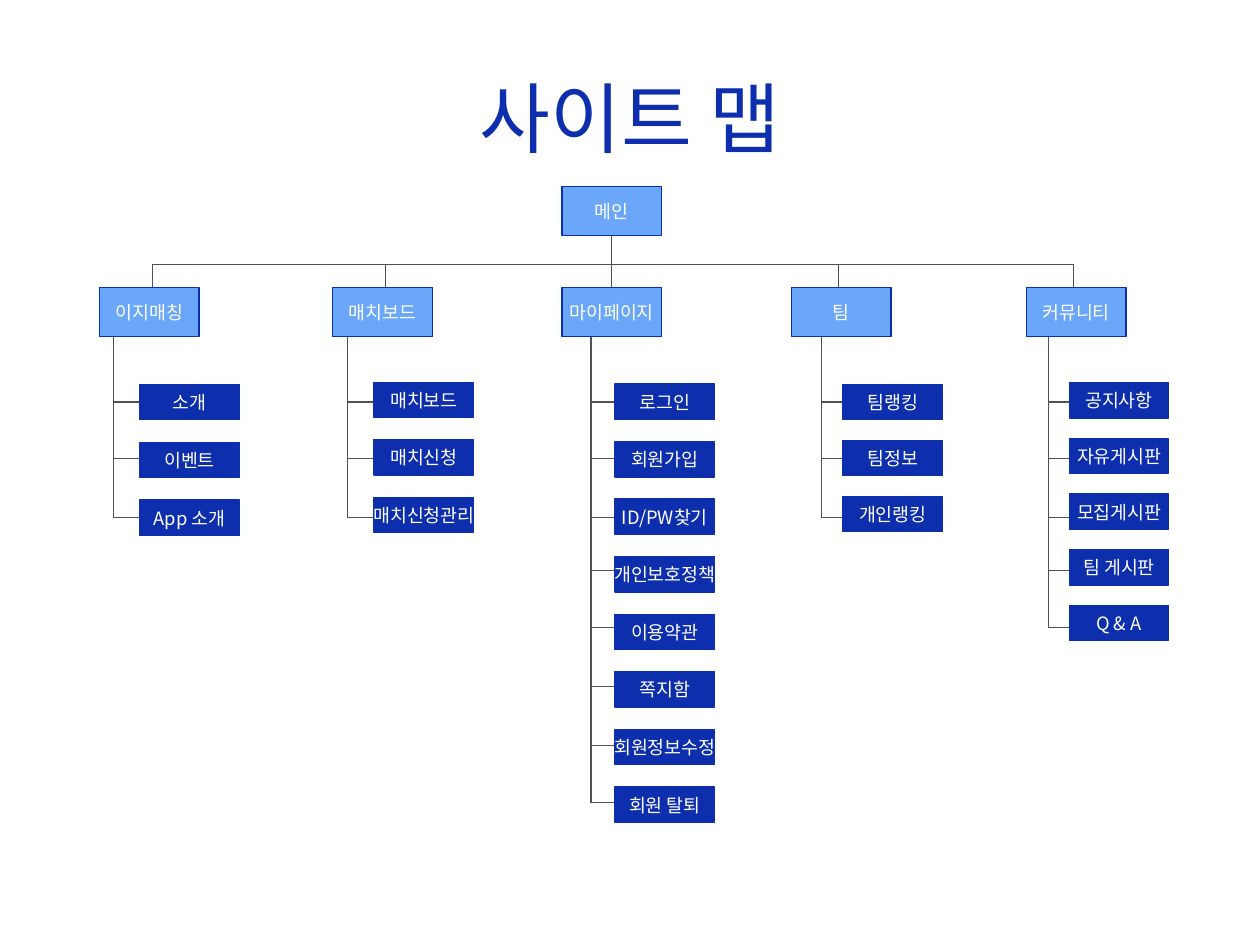
from lxml import etree
from pptx import Presentation
from pptx.dml.color import RGBColor
from pptx.enum.shapes import MSO_CONNECTOR, MSO_SHAPE
from pptx.enum.text import MSO_ANCHOR, PP_ALIGN
from pptx.oxml.ns import qn
from pptx.util import Pt

RECT = MSO_SHAPE.RECTANGLE
LINE = MSO_CONNECTOR.STRAIGHT
MIDDLE = MSO_ANCHOR.MIDDLE
CENTER = PP_ALIGN.CENTER

THEME = {
    "font": "Noto Sans CJK KR",
    "title": 44,
    "label": 10.5,
    "line": 0.75,
    "navy": RGBColor.from_string("0E2FAD"),
    "sky": RGBColor.from_string("6BA7F8"),
    "gray": RGBColor.from_string("525252"),
    "white": RGBColor.from_string("FFFFFF"),
}

BOX_W, HEAD_H, LEAF_H = 56.9, 28.1, 20.2
MAIN_X, MAIN_Y = 321.1, 106.6
BAR_Y, HEAD_Y = 151.2, 164.2
TWIG_W = 48.2
TWIG_YS = [229.7, 262.1, 295.9, 326.2, 358.6, 392.4, 426.2, 458.6]

# head, head left, drop x, stem x, leaf left, first leaf top, leaf pitch, leaves
MENUS = [
    ("이지매칭", 56.9, 87.1, 64.8, 79.9, 219.6, 33.1,
     ["소개", "이벤트", "App 소개"]),
    ("매치보드", 190.1, 220.3, 198.7, 213.8, 218.5, 32.8,
     ["매치보드", "매치신청", "매치신청관리"]),
    ("마이페이지", 321.1, 349.6, 337.7, 351.4, 219.4, 32.9,
     ["로그인", "회원가입", "ID/PW찾기", "개인보호정책",
      "이용약관", "쪽지함", "회원정보수정", "회원 탈퇴"]),
    ("팀", 452.2, 479.3, 469.4, 481.7, 219.6, 32,
     ["팀랭킹", "팀정보", "개인랭킹"]),
    ("커뮤니티", 586.5, 613.6, 599, 611, 218.7, 31.8,
     ["공지사항", "자유게시판", "모집게시판", "팀 게시판", "Q & A"]),
]

prs = Presentation()
prs.slide_width, prs.slide_height = Pt(720), Pt(540)
slide = prs.slides.add_slide(prs.slide_layouts[6])
shapes = slide.shapes


def rule(x1, y1, x2, y2):
    """Draw a thin gray line without a shadow."""
    line = shapes.add_connector(LINE, Pt(x1), Pt(y1), Pt(x2), Pt(y2))
    line.line.color.rgb = THEME["gray"]
    line.line.width = Pt(THEME["line"])
    etree.SubElement(line._element.spPr, qn("a:effectLst"))


def label(text, x, y, w, h, size, color, fill=None):
    """Place centred text, in a bordered box when a fill is given."""
    area = Pt(x), Pt(y), Pt(w), Pt(h)
    if fill is None:
        box = shapes.add_textbox(*area)
    else:
        box = shapes.add_shape(RECT, *area)
        box.shadow.inherit = False
        box.fill.solid()
        box.fill.fore_color.rgb = fill
        box.line.color.rgb = THEME["navy"]
        box.line.width = Pt(THEME["line"])
    frame = box.text_frame
    frame.text = text
    frame.word_wrap = fill is None
    frame.vertical_anchor = MIDDLE
    para = frame.paragraphs[0]
    para.alignment = CENTER
    font = para.runs[0].font
    font.size = Pt(size)
    font.color.rgb = color
    font.name = THEME["font"]
    east = etree.SubElement(font._element, qn("a:ea"))
    east.set("typeface", THEME["font"])


label("사이트 맵", 36, 21.6, 648, 90, THEME["title"], THEME["navy"])

rule(MENUS[0][2], BAR_Y, MENUS[-1][2], BAR_Y)
rule(MENUS[2][2], MAIN_Y + HEAD_H, MENUS[2][2], BAR_Y)
label("메인", MAIN_X, MAIN_Y, BOX_W, HEAD_H,
      THEME["label"], THEME["white"], THEME["sky"])

for head, left, drop, stem, leaf_x, top, pitch, leaves in MENUS:
    twigs = TWIG_YS[:len(leaves)]
    rule(drop, BAR_Y, drop, HEAD_Y)
    rule(stem, HEAD_Y + HEAD_H, stem, twigs[-1])
    for y in twigs:
        rule(stem, y, stem + TWIG_W, y)
    label(head, left, HEAD_Y, BOX_W, HEAD_H,
          THEME["label"], THEME["white"], THEME["sky"])
    for row, leaf in enumerate(leaves):
        label(leaf, leaf_x, top + row * pitch, BOX_W, LEAF_H,
              THEME["label"], THEME["white"], THEME["navy"])

prs.save("out.pptx")
